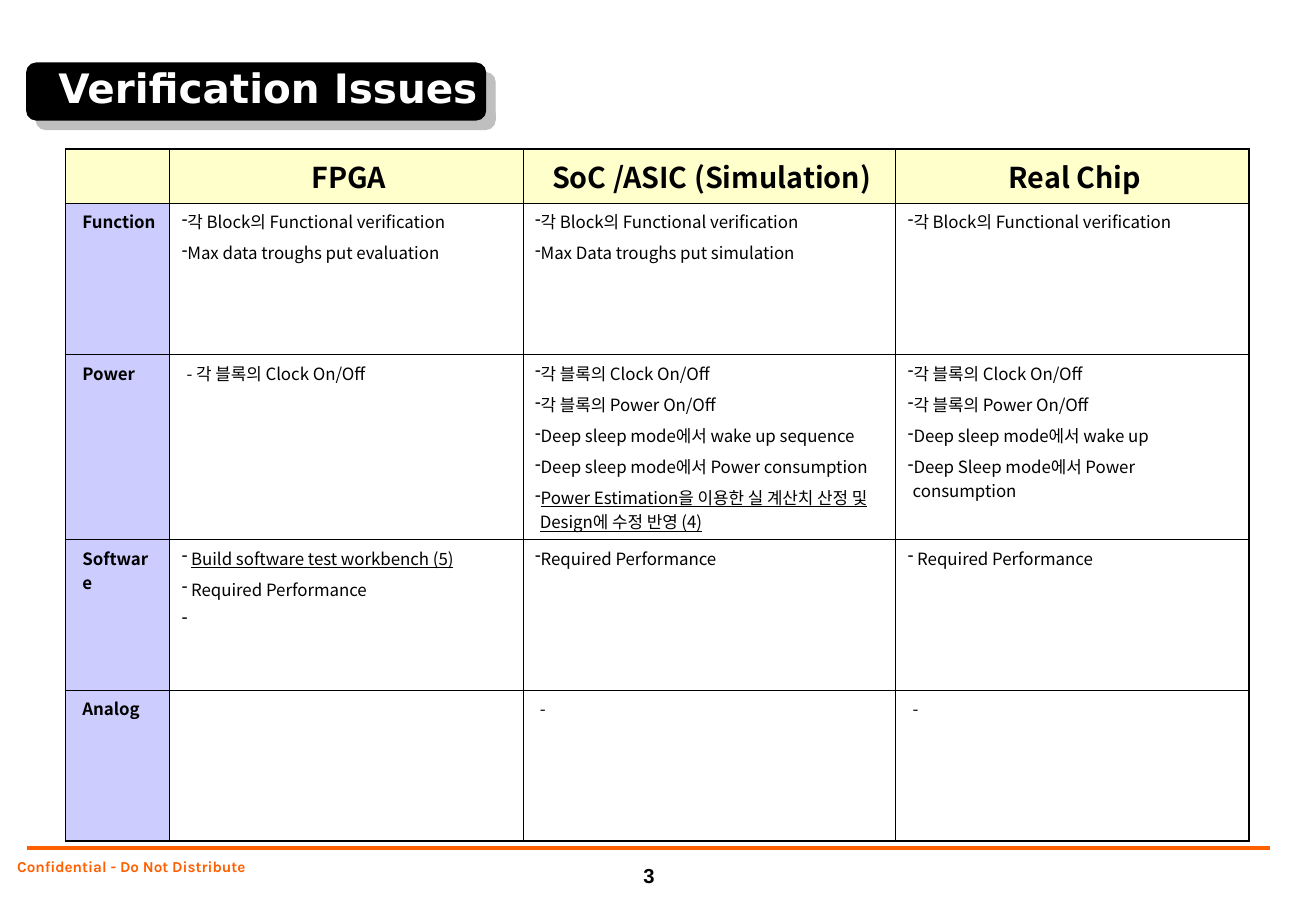
from lxml.etree import SubElement
from pptx import Presentation
from pptx.dml.color import RGBColor
from pptx.enum.shapes import MSO_CONNECTOR as Connector, MSO_SHAPE as Shape
from pptx.enum.text import MSO_ANCHOR as Anchor, MSO_AUTO_SIZE as AutoSize, PP_ALIGN as Align
from pptx.oxml.ns import qn
from pptx.util import Cm, Pt

COLORS = {"black": "000000", "white": "FFFFFF", "orange": "FF5F00",
          "header": "FFFFCC", "topic": "CCCCFF", "shadow": "808080"}
BODY_FONT = "Noto Sans CJK KR"
COLUMN_WIDTHS = [2.18, 7.39, 7.8, 7.39]
ROW_HEIGHTS = [0.99, 3.17, 3.78, 3.15, 3.15]
FUNCTIONAL = "각 Block의 Functional verification"
SWITCHING = ["각 블록의 Clock On/Off", "각 블록의 Power On/Off"]

ISSUES = [
    ["", "FPGA", "SoC /ASIC (Simulation)", "Real Chip"],
    ["Function",
     [FUNCTIONAL, "Max data troughs put evaluation"],
     [FUNCTIONAL, "Max Data troughs put simulation"],
     [FUNCTIONAL]],
    ["Power",
     "- 각 블록의 Clock On/Off",
     SWITCHING + ["Deep sleep mode에서 wake up sequence",
                  "Deep sleep mode에서 Power consumption",
                  ("", "Power Estimation을 이용한 실 계산치 산정 및 Design에 수정 반영 (4)")],
     SWITCHING + ["Deep sleep mode에서 wake up",
                  "Deep Sleep mode에서 Power consumption"]],
    ["Software",
     [(" ", "Build software test workbench (5)"), " Required Performance", " "],
     ["Required Performance"],
     [" Required Performance"]],
    ["Analog", "", "-", "-"],
]


def rgb(name):
    """Return the palette colour of that name."""
    return RGBColor.from_string(COLORS[name])


def add_color(parent, name):
    """Append a plain colour element and return it."""
    return SubElement(parent, qn("a:srgbClr"), val=COLORS[name])


class IssueSlide:
    """Holds the slide and draws its elements in one style."""

    def __init__(self, deck):
        """Add a title-only slide to the deck."""
        self.slide = deck.slides.add_slide(deck.slide_layouts[5])
        self.shapes = self.slide.shapes

    def run(self, paragraph, text, size, color="black", bold=False, font=BODY_FONT, underline=False):
        """Add one styled run."""
        run = paragraph.add_run()
        run.text = text
        run.font.size = Pt(size)
        run.font.bold = bold
        run.font.name = font
        run.font.color.rgb = rgb(color)
        if underline:
            run.font.underline = True
        SubElement(run.font._element, qn("a:ea"), typeface=font)

    def indent(self, paragraph, margin, hanging=0):
        """Set the left margin and the hanging first line."""
        properties = paragraph._p.get_or_add_pPr()
        properties.set("marL", str(Cm(margin)))
        properties.set("indent", str(-Cm(hanging)))
        return properties

    def frame(self, shape, anchor, margins):
        """Format the text frame of a box and return its first paragraph."""
        frame = shape.text_frame
        frame.word_wrap = True
        frame.auto_size = AutoSize.NONE
        frame.vertical_anchor = anchor
        (frame.margin_left, frame.margin_top,
         frame.margin_right, frame.margin_bottom) = map(Cm, margins)
        return frame.paragraphs[0]

    def rule(self, left, right, y):
        """Draw the orange line above the footer."""
        rule = self.shapes.add_connector(Connector.STRAIGHT, Cm(left), Cm(y), Cm(right), Cm(y))
        rule.line.color.rgb = rgb("orange")
        rule.line.width = Pt(2)
        SubElement(rule._element.spPr, qn("a:effectLst"))

    def label(self, box, text, size, color, font, anchor, margins, align=Align.LEFT, margin=0, spacing=1.0):
        """Add a one-line bold text box."""
        label = self.shapes.add_textbox(*map(Cm, box))
        paragraph = self.frame(label, anchor, margins)
        paragraph.alignment = align
        paragraph.line_spacing = spacing
        self.indent(paragraph, margin)
        self.run(paragraph, text, size, color, True, font)

    def badge(self, box):
        """Draw the black rounded plate with a hard shadow."""
        badge = self.shapes.add_shape(Shape.ROUNDED_RECTANGLE, *map(Cm, box))
        badge.fill.solid()
        badge.fill.fore_color.rgb = rgb("black")
        badge.line.color.rgb = rgb("black")
        badge.line.width = Pt(0.75)
        badge.shadow.inherit = False
        effects = badge._element.spPr.find(qn("a:effectLst"))
        shadow = SubElement(effects, qn("a:outerShdw"), blurRad="0", dist=str(Pt(8)),
                            dir=str(45 * 60000), algn="tl", rotWithShape="0")
        SubElement(add_color(shadow, "shadow"), qn("a:alpha"), val="50000")

    def title(self, box, text):
        """Place the title in front of its plate."""
        title = self.shapes.title
        title.left, title.top, title.width, title.height = map(Cm, box)
        paragraph = self.frame(title, Anchor.MIDDLE, (0.15, 0.15, 0.25, 0.15))
        paragraph.alignment = Align.LEFT
        self.indent(paragraph, 0.1)
        self.run(paragraph, text, 24, "white", True, "DejaVu Sans")
        self.shapes._spTree.append(title._element)

    def borders(self, cell, outer):
        """Draw the four cell edges, heavier on the table outline."""
        properties = cell._tc.get_or_add_tcPr()
        for side in "LRTB":
            width = Pt(1.08 if side in outer else 0.45)
            edge = SubElement(properties, qn(f"a:ln{side}"), w=str(width))
            add_color(SubElement(edge, qn("a:solidFill")), "black")

    def write_cell(self, cell, content, size, bold, align):
        """Write a plain string or a list of dashed items."""
        dashed = isinstance(content, list)
        for index, item in enumerate(content if dashed else [content]):
            frame = cell.text_frame
            paragraph = frame.add_paragraph() if index else frame.paragraphs[0]
            paragraph.alignment = align
            if index:
                paragraph.space_before = Pt(4)
            properties = self.indent(paragraph, 0.1, 0.1 if dashed else 0)
            if dashed:
                add_color(SubElement(properties, qn("a:buClr")), "black")
                SubElement(properties, qn("a:buChar"), char="-")
            plain, underlined = item if isinstance(item, tuple) else (item, "")
            if plain:
                self.run(paragraph, plain, size, bold=bold)
            if underlined:
                self.run(paragraph, underlined, size, underline=True)

    def table(self, left, top, rows):
        """Build the issue table with a header row and a topic column."""
        table = self.shapes.add_table(len(rows), len(COLUMN_WIDTHS), Cm(left), Cm(top),
                                      Cm(sum(COLUMN_WIDTHS)), Cm(sum(ROW_HEIGHTS))).table
        table.first_row = table.horz_banding = False
        for column, width in zip(table.columns, COLUMN_WIDTHS):
            column.width = Cm(width)
        for row, height in zip(table.rows, ROW_HEIGHTS):
            row.height = Cm(height)
        last_row, last_column = len(rows) - 1, len(COLUMN_WIDTHS) - 1
        for r, row in enumerate(rows):
            for c, content in enumerate(row):
                cell = table.cell(r, c)
                outline = {"L": c == 0, "R": c == last_column, "T": r == 0, "B": r == last_row}
                self.borders(cell, [side for side, outer in outline.items() if outer])
                if r == 0 or c == 0:
                    cell.fill.solid()
                    cell.fill.fore_color.rgb = rgb("topic" if r else "header")
                else:
                    cell.fill.background()
                self.write_cell(cell, content, 10 if r else 17, r == 0 or c == 0,
                                Align.LEFT if r else Align.CENTER)


def main():
    """Build and save the deck."""
    deck = Presentation()
    deck.slide_width, deck.slide_height = Cm(27.53), Cm(19.05)
    page = IssueSlide(deck)
    page.rule(0.56, 26.57, 17.73)
    page.label((0.23, 17.88, 9.3, 0.69), "Confidential - Do Not Distribute", 9, "orange", "Karla",
               Anchor.TOP, (0, 0, 0.13, 0), margin=0.13, spacing=1.1)
    page.badge((0.56, 1.32, 9.6, 1.19))
    page.title((0.97, 0.51, 11.2, 2.62), "Verification Issues")
    page.table(1.37, 3.12, ISSUES)
    page.label((13.18, 17.91, 0.79, 0.79), "3", 12, "black", "Arial",
               Anchor.BOTTOM, (0.25, 0.13, 0.25, 0.13), Align.CENTER)
    deck.save("out.pptx")


if __name__ == "__main__":
    main()
